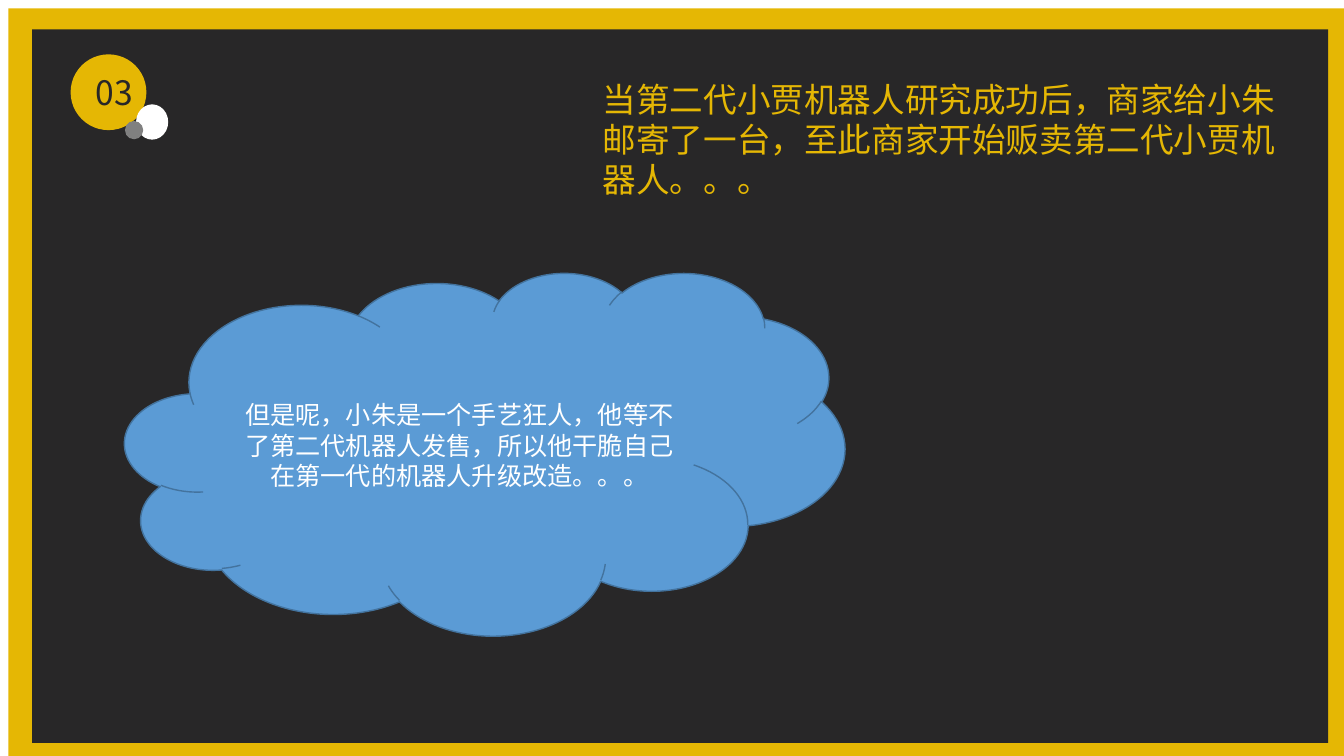
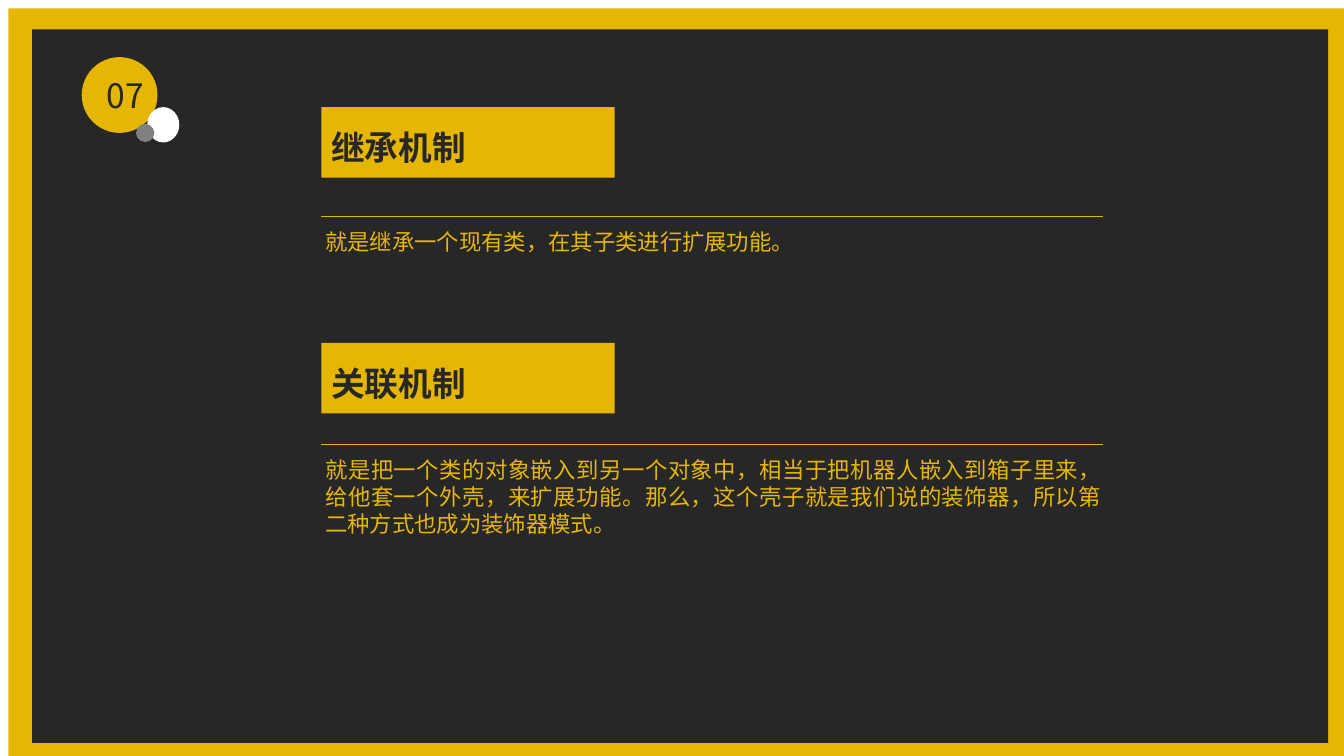
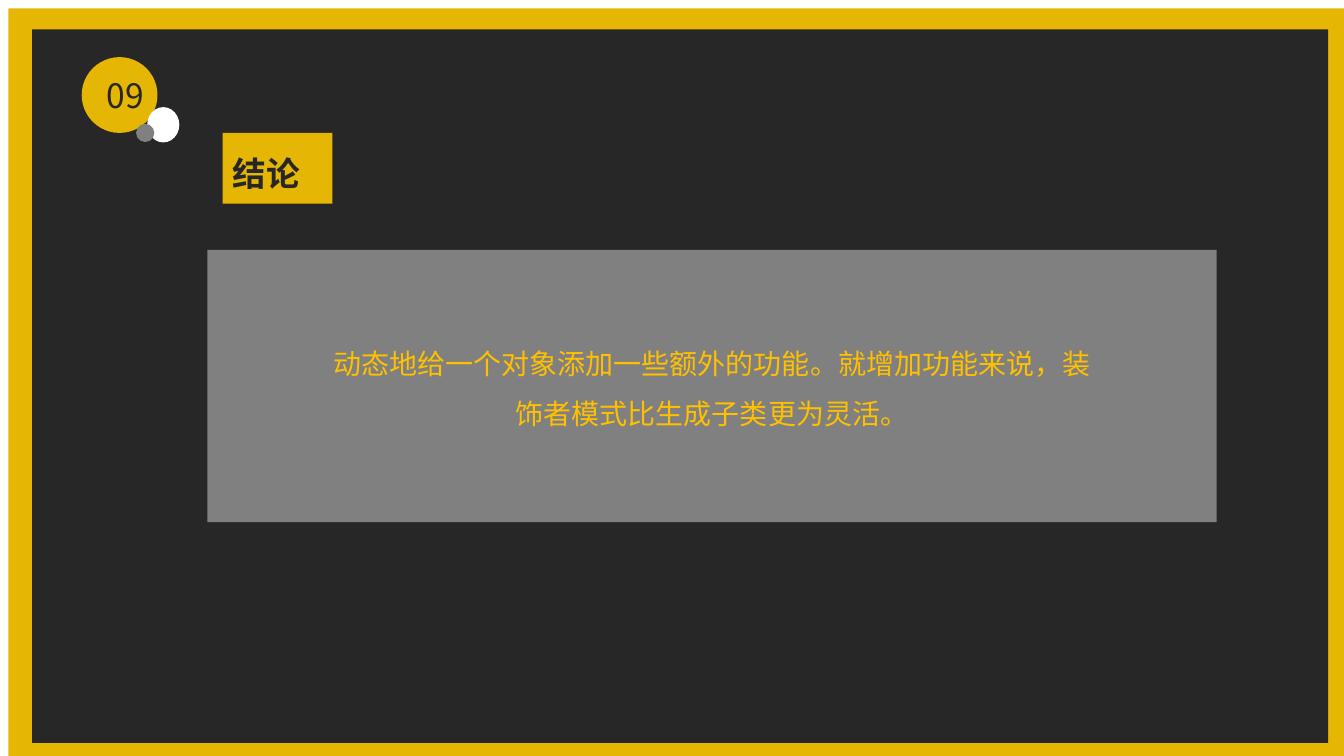
from dataclasses import dataclass

from lxml import etree
from pptx import Presentation
from pptx.dml.color import RGBColor
from pptx.enum.shapes import MSO_CONNECTOR, MSO_SHAPE
from pptx.enum.text import MSO_ANCHOR, MSO_AUTO_SIZE, PP_ALIGN
from pptx.oxml.ns import qn
from pptx.util import Cm, Pt

RECTANGLE, OVAL, CLOUD = MSO_SHAPE.RECTANGLE, MSO_SHAPE.OVAL, MSO_SHAPE.CLOUD
STRAIGHT = MSO_CONNECTOR.STRAIGHT
TOP, MIDDLE = MSO_ANCHOR.TOP, MSO_ANCHOR.MIDDLE
LEFT, CENTER, JUSTIFY = PP_ALIGN.LEFT, PP_ALIGN.CENTER, PP_ALIGN.JUSTIFY
NO_AUTOFIT = MSO_AUTO_SIZE.NONE


@dataclass(frozen=True)
class Theme:
    font: str = "Noto Sans CJK SC"
    gold: RGBColor = RGBColor(0xE5, 0xB7, 0x04)
    amber: RGBColor = RGBColor(0xFF, 0xC0, 0x00)
    dark: RGBColor = RGBColor(0x28, 0x27, 0x28)
    gray: RGBColor = RGBColor(0x80, 0x80, 0x80)
    white: RGBColor = RGBColor(0xFF, 0xFF, 0xFF)
    blue: RGBColor = RGBColor(0x5B, 0x9B, 0xD5)
    navy: RGBColor = RGBColor(0x43, 0x73, 0x9E)
    heading: int = 24
    statement: int = 20
    bubble: int = 18
    body: int = 16


theme = Theme()
DEFAULT_INSETS = (0.25, 0.13, 0.25, 0.13)
heading_style = dict(size=theme.heading, color=theme.dark, bold=True,
                     insets=(0.25, 0.13, 0.3, 0.3), spacing=1.4)


def draw(shapes, kind, box, fill=None):
    shape = shapes.add_shape(kind, *map(Cm, box))
    shape.shadow.inherit = False
    shape.line.fill.background()
    if fill is None:
        shape.fill.background()
    else:
        shape.fill.solid()
        shape.fill.fore_color.rgb = fill
    return shape


def write(shape, text, size, color, align=LEFT, anchor=MIDDLE,
          insets=DEFAULT_INSETS, bold=False, spacing=1.0, gap=0):
    frame = shape.text_frame
    frame.text = text
    frame.word_wrap = True
    frame.auto_size = NO_AUTOFIT
    frame.vertical_anchor = anchor
    (frame.margin_left, frame.margin_top,
     frame.margin_right, frame.margin_bottom) = map(Cm, insets)
    para = frame.paragraphs[0]
    para.alignment = align
    para.line_spacing = spacing
    para.space_before = para.space_after = Pt(gap)
    span = para.runs[0]
    span.font.size = Pt(size)
    span.font.bold = bold
    span.font.color.rgb = color
    span.font.name = theme.font
    properties = span.font._element
    etree.SubElement(properties, qn("a:ea")).set("typeface", theme.font)


deck = Presentation()
deck.slide_width, deck.slide_height = Cm(33.87), Cm(19.05)
title_only = deck.slide_layouts[5]

pages = []
for number, left, top in (("03", 1.78, 1.37), ("07", 2.06, 1.44), ("09", 2.06, 1.44)):
    page = deck.slides.add_slide(title_only)
    pages.append(page)
    badge = page.shapes.add_group_shape().shapes
    disc = draw(badge, OVAL, (left, top, 1.91, 1.91), theme.gold)
    write(disc, number, theme.heading, theme.dark, CENTER, insets=(0.3, 0, 0, 0))
    draw(badge, OVAL, (left + 1.65, top + 1.26, 0.81, 0.89), theme.white)
    draw(badge, OVAL, (left + 1.37, top + 1.68, 0.46, 0.46), theme.gray)
story, mechanisms, conclusion = pages

first_placeholder = deck.slide_master.shapes[0]._element
for shape_id, (box, fill) in enumerate((
        ((0.21, 0.21, 33.87, 19.05), theme.gold),
        ((0.81, 0.74, 32.66, 17.98), theme.dark)), start=20):
    band = draw(story.shapes, RECTANGLE, box, fill)._element
    band.nvSpPr.cNvPr.set("id", str(shape_id))
    first_placeholder.addprevious(band)

title_boxes = ((14.94, 1.85, 17.75, 3.33), (8.1, 2.7, 7.39, 1.78), (5.61, 3.35, 2.77, 1.78))
for page, box in zip(pages, title_boxes):
    title = page.shapes.title
    title.left, title.top, title.width, title.height = map(Cm, box)
    if page is not story:
        title.fill.solid()
        title.fill.fore_color.rgb = theme.gold

write(story.shapes.title,
      "当第二代小贾机器人研究成功后，商家给小朱邮寄了一台，至此商家开始贩卖第二代小贾机器人。。。",
      theme.heading, theme.gold, anchor=TOP)
cloud = draw(story.shapes, CLOUD, (3.15, 6.86, 18.14, 9.14), theme.blue)
cloud.line.color.rgb = theme.navy
cloud.line.width = Pt(1)
write(cloud,
      "但是呢，小朱是一个手艺狂人，他等不了第二代机器人发售，所以他干脆自己在第一代的机器人升级改造。。。",
      theme.bubble, theme.white, CENTER)

write(mechanisms.shapes.title, "继承机制", **heading_style)
association = draw(mechanisms.shapes, RECTANGLE, (8.1, 8.64, 7.39, 1.78), theme.gold)
write(association, "关联机制", **heading_style)
for top, height, text in (
        (5.46, 1.78, "就是继承一个现有类，在其子类进行扩展功能。"),
        (11.2, 2.64, "就是把一个类的对象嵌入到另一个对象中，相当于把机器人嵌入到箱子里来，"
                     "给他套一个外壳，来扩展功能。那么，这个壳子就是我们说的装饰器，"
                     "所以第二种方式也成为装饰器模式。")):
    rule = mechanisms.shapes.add_connector(STRAIGHT, Cm(8.1), Cm(top), Cm(27.79), Cm(top))
    rule.line.color.rgb = theme.gold
    rule.line.width = Pt(1)
    etree.SubElement(rule._element.spPr, qn("a:effectLst"))
    description = draw(mechanisms.shapes, RECTANGLE, (8.1, top, 19.69, height))
    write(description, text, theme.body, theme.gold, JUSTIFY, TOP, (0.1, 0.3, 0, 0), gap=6)

write(conclusion.shapes.title, "结论", **heading_style)
panel = draw(conclusion.shapes, RECTANGLE, (5.23, 6.3, 25.43, 6.86), theme.gray)
write(panel, "动态地给一个对象添加一些额外的功能。就增加功能来说，装饰者模式比生成子类更为灵活。",
      theme.statement, theme.amber, CENTER, TOP, (3, 2, 3, 1), spacing=1.5)

deck.save("out.pptx")
